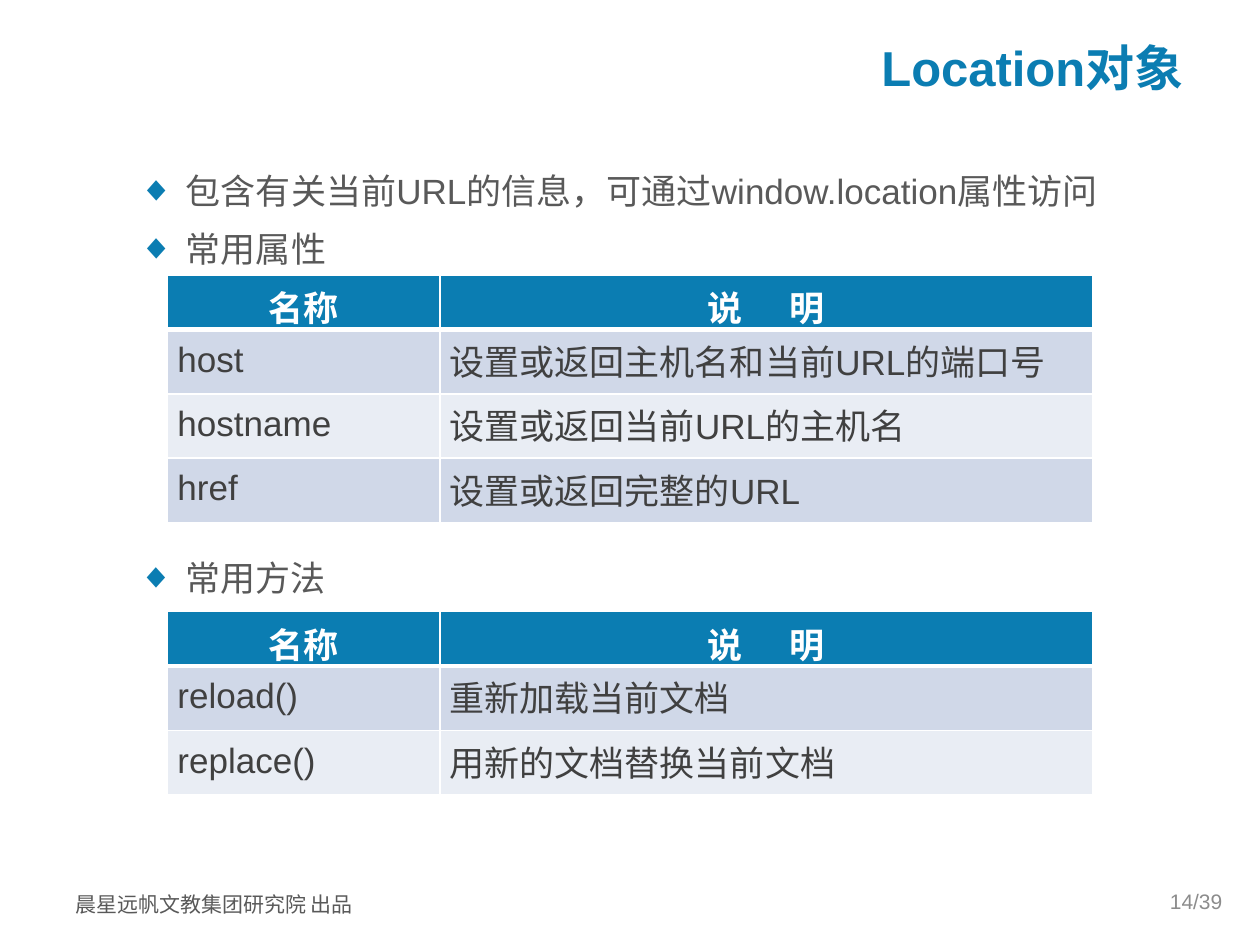
from dataclasses import dataclass

from lxml.etree import SubElement
from pptx import Presentation
from pptx.dml.color import RGBColor
from pptx.enum.text import MSO_ANCHOR as Anchor, MSO_AUTO_SIZE as AutoSize, PP_ALIGN as Align
from pptx.oxml.ns import qn
from pptx.util import Pt


@dataclass(frozen=True)
class Theme:
    accent: str = "0B7DB2"
    white: str = "FFFFFF"
    body: str = "595959"
    cell: str = "404040"
    page: str = "8C8C8C"
    bands: tuple = ("D0D8E8", "E9EDF4")
    latin: str = "Arial"
    cjk: str = "Noto Sans CJK SC"
    title_size: int = 28
    body_size: int = 20
    small_size: int = 12


THEME = Theme()
COLUMNS = (155.5, 373)
HEADER_HEIGHT, ROW_HEIGHT = 30, 36.8
HEADINGS = ("名称", "说 明")
HEADING_GAP = 22.5
PROPERTIES = (
    ("host", "设置或返回主机名和当前URL的端口号"),
    ("hostname", "设置或返回当前URL的主机名"),
    ("href", "设置或返回完整的URL"),
)
METHODS = (
    ("reload()", "重新加载当前文档"),
    ("replace()", "用新的文档替换当前文档"),
)


def add_xml(parent, tag, **attributes):
    return SubElement(parent, qn(tag), attributes)


def format_runs(paragraph, size, color, bold=False, latin=THEME.latin):
    for run in paragraph.runs:
        font = run.font
        font.size, font.bold, font.name = Pt(size), bold, latin
        font.color.rgb = RGBColor.from_string(color)
        add_xml(run.font._element, "a:ea", typeface=THEME.cjk)


def space_before(paragraph):
    properties = paragraph._p.get_or_add_pPr()
    add_xml(add_xml(properties, "a:spcBef"), "a:spcPct", val="20000")
    return properties


def place(shape, box):
    shape.left, shape.top, shape.width, shape.height = map(Pt, box)


def fill_title(title, box, text):
    place(title, box)
    frame = title.text_frame
    frame.text = text
    frame.auto_size = AutoSize.NONE
    frame.vertical_anchor = Anchor.MIDDLE
    heading = frame.paragraphs[0]
    heading.alignment = Align.RIGHT
    format_runs(heading, THEME.title_size, THEME.accent, bold=True)


def fill_list(holder, box, items):
    place(holder, box)
    frame = holder.text_frame
    frame.text = "\n".join(items)
    frame.word_wrap = True
    frame.auto_size = AutoSize.NONE
    for item in frame.paragraphs:
        item.line_spacing = 1.2
        properties = space_before(item)
        properties.set("marL", str(Pt(27)))
        properties.set("indent", str(-Pt(27)))
        add_xml(add_xml(properties, "a:buClr"), "a:srgbClr", val=THEME.accent)
        add_xml(properties, "a:buFont", typeface=THEME.latin)
        add_xml(properties, "a:buChar", char="◆")
        format_runs(item, THEME.body_size, THEME.body)


def add_borders(cell, bottom):
    properties = cell._tc.get_or_add_tcPr()
    for side, width in (("L", 1), ("R", 1), ("T", 1), ("B", bottom)):
        line = add_xml(properties, f"a:ln{side}", w=str(Pt(width)))
        add_xml(add_xml(line, "a:solidFill"), "a:srgbClr", val=THEME.white)


def fill_cell(cell, text, row):
    is_header = row == 0
    add_borders(cell, 3 if is_header else 1)
    cell.fill.solid()
    fill = THEME.accent if is_header else THEME.bands[(row - 1) % 2]
    cell.fill.fore_color.rgb = RGBColor.from_string(fill)
    cell.vertical_anchor = Anchor.MIDDLE
    paragraph = cell.text_frame.paragraphs[0]
    space_before(paragraph)
    if is_header:
        paragraph.alignment = Align.CENTER
        for character in text:
            run = paragraph.add_run()
            run.text = character
            if character == " ":
                run.font._element.set("spc", str(int(HEADING_GAP * 100)))
        format_runs(paragraph, THEME.body_size, THEME.white, bold=True)
    else:
        paragraph.text = text
        cell.margin_left = cell.margin_right = Pt(5.6)
        cell.margin_top, cell.margin_bottom = Pt(0), Pt(2)
        format_runs(paragraph, THEME.body_size, THEME.cell)


def add_reference(slide, left, top, entries):
    rows = (HEADINGS, *entries)
    height = HEADER_HEIGHT + ROW_HEIGHT * len(entries)
    box = map(Pt, (left, top, sum(COLUMNS), height))
    reference = slide.shapes.add_table(len(rows), len(COLUMNS), *box).table
    for column, width in zip(reference.columns, COLUMNS):
        column.width = Pt(width)
    for index, texts in enumerate(rows):
        reference.rows[index].height = Pt(ROW_HEIGHT if index else HEADER_HEIGHT)
        for column, text in enumerate(texts):
            fill_cell(reference.cell(index, column), text, index)


def add_footer_note(slide, box, text, color, align, anchor, spacing, latin):
    frame = slide.shapes.add_textbox(*map(Pt, box)).text_frame
    frame.text = text
    frame.word_wrap = True
    frame.vertical_anchor = anchor
    note = frame.paragraphs[0]
    note.alignment, note.line_spacing = align, spacing
    format_runs(note, THEME.small_size, color, latin=latin)


def build_location_slide(deck):
    slide = deck.slides.add_slide(deck.slide_layouts[1])
    add_footer_note(slide, (36, 503.3, 182, 24.5), "晨星远帆文教集团研究院 出品",
                    THEME.body, Align.LEFT, Anchor.TOP, 1.2, THEME.cjk)
    fill_title(slide.shapes.title, (72, 22.3, 611.3, 32.4), "Location对象")
    fill_list(slide.placeholders[1], (72, 88.6, 611.3, 339.8),
              ("包含有关当前URL的信息，可通过window.location属性访问", "常用属性"))
    add_reference(slide, 95.8, 157, PROPERTIES)
    methods_box = (72, 309.6, 584, 108)
    fill_list(slide.shapes.add_textbox(*map(Pt, methods_box)), methods_box, ("常用方法",))
    add_reference(slide, 95.8, 349.4, METHODS)
    add_footer_note(slide, (537.8, 500.4, 167.8, 28.8), "14/39",
                    THEME.page, Align.RIGHT, Anchor.MIDDLE, 1.0, THEME.latin)


def main():
    deck = Presentation()
    deck.slide_width, deck.slide_height = Pt(720), Pt(540)
    build_location_slide(deck)
    deck.save("out.pptx")


if __name__ == "__main__":
    main()
